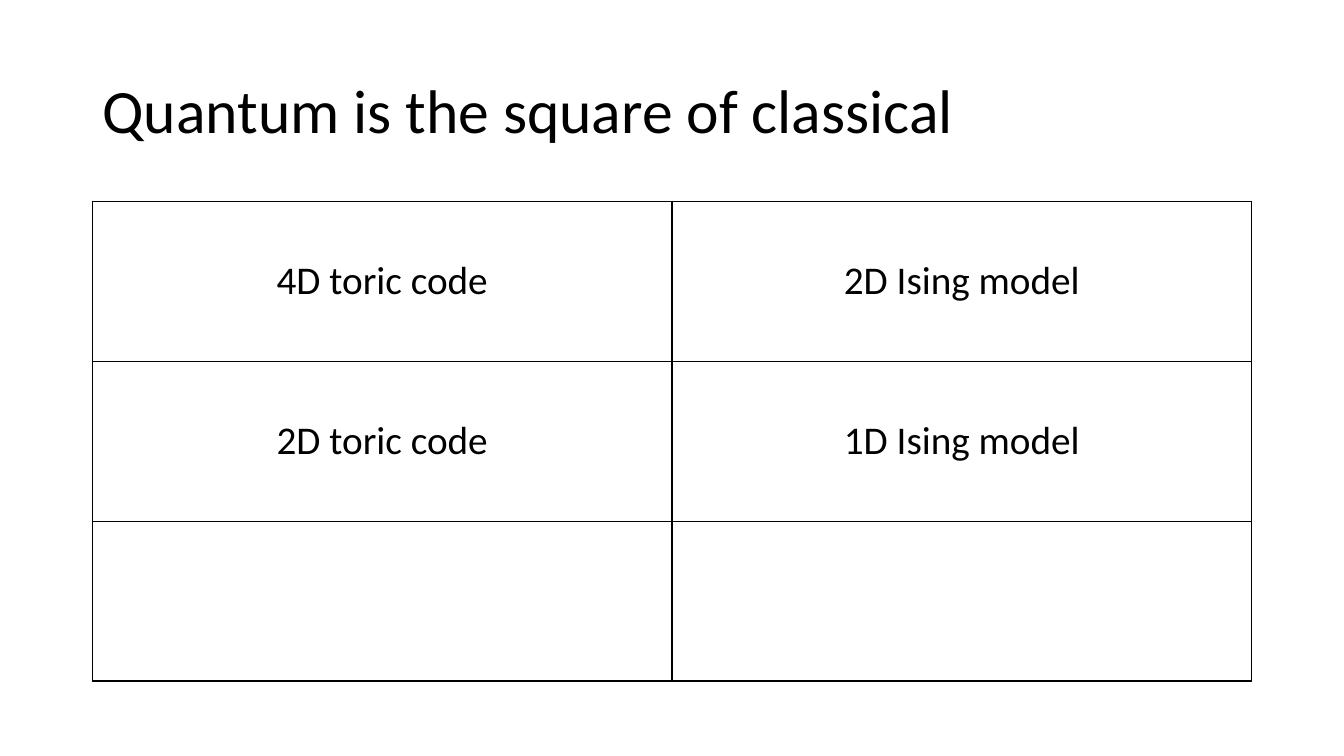
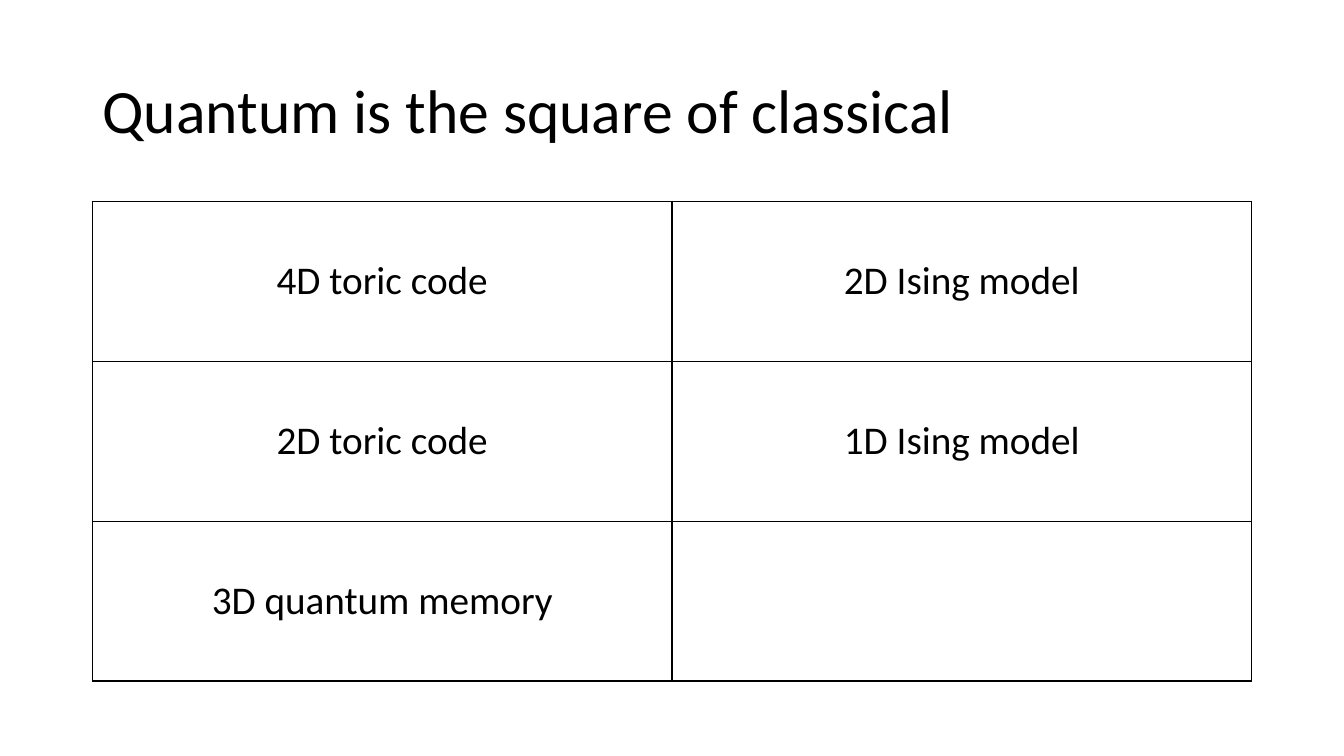
from lxml.etree import SubElement
from pptx import Presentation
from pptx.dml.color import RGBColor
from pptx.enum.text import MSO_ANCHOR, MSO_AUTO_SIZE, PP_ALIGN
from pptx.oxml.ns import qn
from pptx.util import Pt

TITLE = "Quantum is the square of classical"
KNOWN_PAIRS = [
    ("4D toric code", "2D Ising model"),
    ("2D toric code", "1D Ising model"),
]
SLIDES = [
    KNOWN_PAIRS + [("", "")],
    KNOWN_PAIRS + [("3D quantum memory", "")],
]

COLORS = {"ink": "000000", "paper": "FFFFFF"}
FONT = "Calibri"
LEFT, WIDTH = Pt(66), Pt(828)
TITLE_TOP, TITLE_HEIGHT = Pt(28.75), Pt(104.4)
TABLE_TOP, ROW_HEIGHT = Pt(143.75), Pt(114.25)
BORDER = Pt(1)


def style_text(paragraph, size, align):
    paragraph.alignment = align
    paragraph.font.name = FONT
    paragraph.font.size = Pt(size)
    paragraph.font.color.rgb = RGBColor.from_string(COLORS["ink"])


def add_borders(cell):
    properties = cell._tc.get_or_add_tcPr()
    for side in ("a:lnL", "a:lnR", "a:lnT", "a:lnB"):
        line = SubElement(properties, qn(side), w=str(int(BORDER)))
        fill = SubElement(line, qn("a:solidFill"))
        SubElement(fill, qn("a:srgbClr"), val=COLORS["ink"])


def add_title(slide):
    title = slide.shapes.title
    title.left, title.top = LEFT, TITLE_TOP
    title.width, title.height = WIDTH, TITLE_HEIGHT
    frame = title.text_frame
    frame.text = TITLE
    frame.word_wrap = True
    frame.auto_size = MSO_AUTO_SIZE.NONE
    frame.vertical_anchor = MSO_ANCHOR.MIDDLE
    heading = frame.paragraphs[0]
    heading.line_spacing = 0.9
    style_text(heading, 44, PP_ALIGN.LEFT)


def add_pairs_table(slide, pairs):
    table = slide.shapes.add_table(
        len(pairs), len(pairs[0]), LEFT, TABLE_TOP, WIDTH, ROW_HEIGHT * len(pairs)
    ).table
    table.first_row = table.horz_banding = False
    for row, pair in enumerate(pairs):
        for column, model in enumerate(pair):
            cell = table.cell(row, column)
            add_borders(cell)
            cell.fill.solid()
            cell.fill.fore_color.rgb = RGBColor.from_string(COLORS["paper"])
            cell.vertical_anchor = MSO_ANCHOR.MIDDLE
            if model:
                cell.text = model
                style_text(cell.text_frame.paragraphs[0], 28, PP_ALIGN.CENTER)


def main():
    deck = Presentation()
    deck.slide_width, deck.slide_height = Pt(960), Pt(540)
    title_only = deck.slide_layouts.get_by_name("Title Only")
    for pairs in SLIDES:
        slide = deck.slides.add_slide(title_only)
        add_title(slide)
        add_pairs_table(slide, pairs)
    deck.save("out.pptx")


if __name__ == "__main__":
    main()
